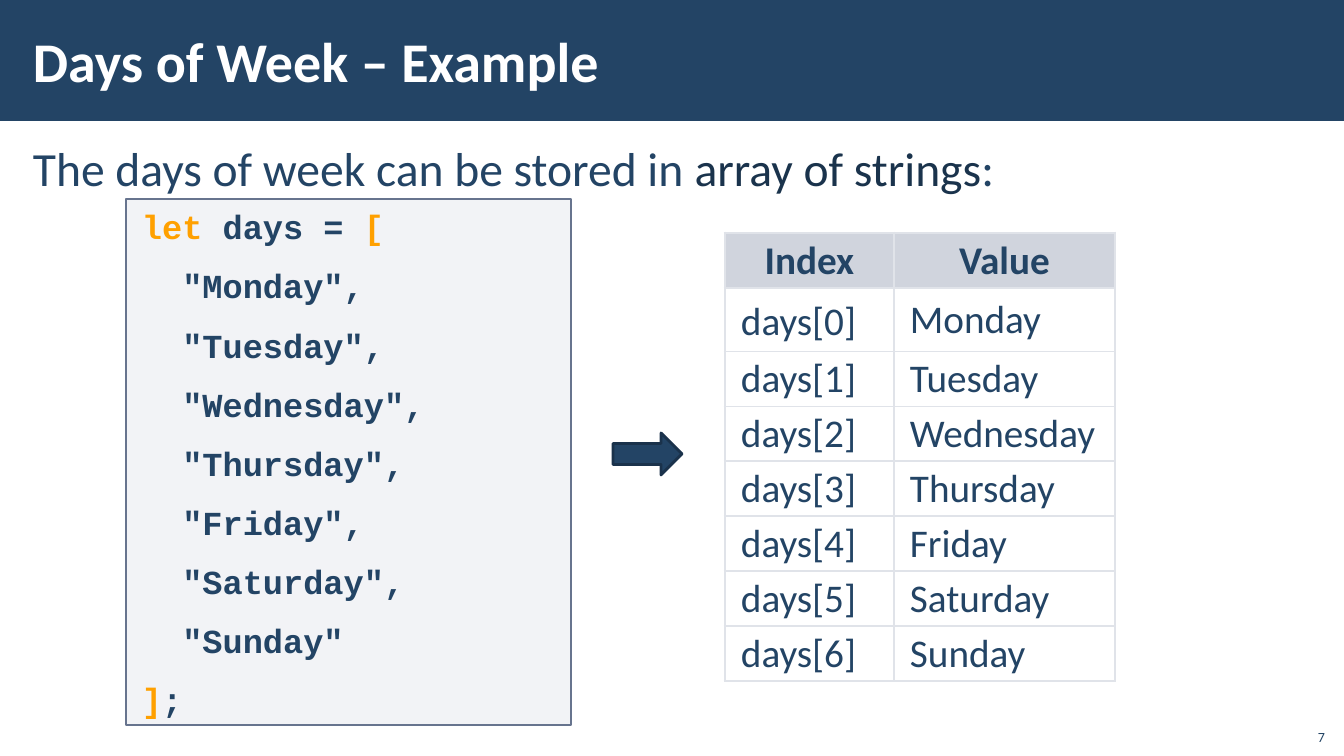
"""Builds the "Days of Week" slide: array code, arrow and index table."""
from lxml.etree import SubElement
from pptx import Presentation
from pptx.dml.color import RGBColor
from pptx.enum.shapes import MSO_SHAPE as Preset
from pptx.enum.text import MSO_ANCHOR as Anchor, PP_ALIGN as Align
from pptx.oxml.ns import qn
from pptx.util import Emu, Pt

COLORS = {
    "navy": "234465", "dark": "1A334C", "white": "FFFFFF", "orange": "FFA000",
    "code_fill": "ADB4C3", "code_line": "67748E", "arrow_line": "1A324B",
    "header": "A3ABBC", "grid": "E0E3E9",
}
SANS, MONO = "Calibri", "Courier New"
DAYS = ["Monday", "Tuesday", "Wednesday", "Thursday", "Friday", "Saturday", "Sunday"]
TITLE = [[("Days of Week – Example", "white")]]
INTRO = [[("The days of week can be stored in ", "navy"),
          ("array of strings", "dark"), (":", "navy")]]
CODE = [
    [("let ", "orange"), ("days = ", "navy"), ("[", "orange")],
    *[[(f'  "{day}",', "navy")] for day in DAYS[:-1]],
    [(f'  "{DAYS[-1]}"', "navy")],
    [("]", "orange"), (";", "navy")],
]
PAGE = [[("7", "navy")]]
ROWS = [("Index", "Value")] + [(f"days[{i}]", day) for i, day in enumerate(DAYS)]
COL_WIDTHS = [169, 221]
ROW_HEIGHTS = [55, 63] + [55] * 6
THICK, THIN = 2.25, 1


def px(n):
    return Emu(round(n * 914400 / 100.8))


def rgb(name):
    return RGBColor.from_string(COLORS[name])


def set_alpha(properties, percent):
    color = properties.find(qn("a:solidFill")).find(qn("a:srgbClr"))
    SubElement(color, qn("a:alpha"), val=str(percent * 1000))


def write(frame, lines, size, font=SANS, bold=False, align=Align.LEFT,
          anchor=Anchor.TOP, margins=(12, 4), spacing=None, gap=0):
    frame.word_wrap = True
    frame.vertical_anchor = anchor
    frame.margin_left = frame.margin_right = px(margins[0])
    frame.margin_top = frame.margin_bottom = px(margins[1])
    for i, line in enumerate(lines):
        paragraph = frame.paragraphs[0] if i == 0 else frame.add_paragraph()
        paragraph.alignment = align
        paragraph.line_spacing = spacing
        paragraph.space_before = paragraph.space_after = Pt(gap)
        paragraph.font.name, paragraph.font.size = font, Pt(size)
        paragraph.font.bold = bold
        for text, color in line:
            run = paragraph.add_run()
            run.text = text
            run.font.color.rgb = rgb(color)


def add_box(slide, preset, box, fill, line=None, width=0):
    shape = slide.shapes.add_shape(preset, *map(px, box))
    shape.shadow.inherit = False
    shape.fill.solid()
    shape.fill.fore_color.rgb = rgb(fill)
    if line:
        shape.line.color.rgb = rgb(line)
        shape.line.width = Pt(width)
    else:
        shape.line.fill.background()
    return shape


def add_text(slide, box, lines, size, **style):
    write(slide.shapes.add_textbox(*map(px, box)).text_frame, lines, size, **style)


def set_borders(cell, widths):
    properties = cell._tc.get_or_add_tcPr()
    for i, (side, width) in enumerate(zip("LRTB", widths)):
        border = SubElement(properties, qn(f"a:ln{side}"), w=str(Pt(width)))
        fill = SubElement(border, qn("a:solidFill"))
        SubElement(fill, qn("a:srgbClr"), val=COLORS["grid"])
        properties.insert(i, border)


def add_day_table(slide, left, top):
    table = slide.shapes.add_table(
        len(ROWS), len(COL_WIDTHS), px(left), px(top),
        px(sum(COL_WIDTHS)), px(sum(ROW_HEIGHTS))).table
    table.first_row = table.horz_banding = False
    for column, width in zip(table.columns, COL_WIDTHS):
        column.width = px(width)
    for r, (values, height) in enumerate(zip(ROWS, ROW_HEIGHTS)):
        table.rows[r].height = px(height)
        for c, value in enumerate(values):
            cell = table.cell(r, c)
            header = r == 0
            write(cell.text_frame, [[(value, "navy")]], 28, bold=header,
                  align=Align.CENTER if header else Align.LEFT,
                  spacing=Pt(38) if (r, c) == (1, 0) else 0.95)
            cell.vertical_anchor = Anchor.MIDDLE
            cell.margin_left = cell.margin_right = px(16)
            cell.margin_top = cell.margin_bottom = px(5)
            if header:
                cell.fill.solid()
                cell.fill.fore_color.rgb = rgb("header")
                set_alpha(cell._tc.tcPr, 50)
            else:
                cell.fill.background()
            set_borders(cell, (THICK if c == 0 else THIN, THICK if c == 1 else THIN,
                               THICK if r < 2 else THIN, THICK if header else THIN))


def main():
    deck = Presentation()
    deck.slide_width, deck.slide_height = px(1344), px(756)
    slide = deck.slides.add_slide(deck.slide_layouts[6])
    add_box(slide, Preset.RECTANGLE, (0, 0, 1344, 121), "navy")
    add_text(slide, (21, 132, 1302, 613), INTRO, 34, spacing=1.05, gap=6)
    add_text(slide, (21, 11, 1072, 98), TITLE, 40, bold=True, anchor=Anchor.MIDDLE)
    code = add_box(slide, Preset.RECTANGLE, (126, 199, 445, 526),
                   "code_fill", "code_line", 1)
    set_alpha(code.element.spPr, 15)
    write(code.text_frame, CODE, 24, font=MONO, bold=True, anchor=Anchor.MIDDLE,
          margins=(16, 12), spacing=1.05, gap=6)
    add_box(slide, Preset.RIGHT_ARROW, (613, 433, 69, 42), "navy", "arrow_line", 2)
    add_day_table(slide, 725, 233)
    add_text(slide, (1295, 718, 40, 32), PAGE, 10, align=Align.RIGHT,
             anchor=Anchor.BOTTOM, margins=(10, 5))
    deck.save("out.pptx")


if __name__ == "__main__":
    main()
